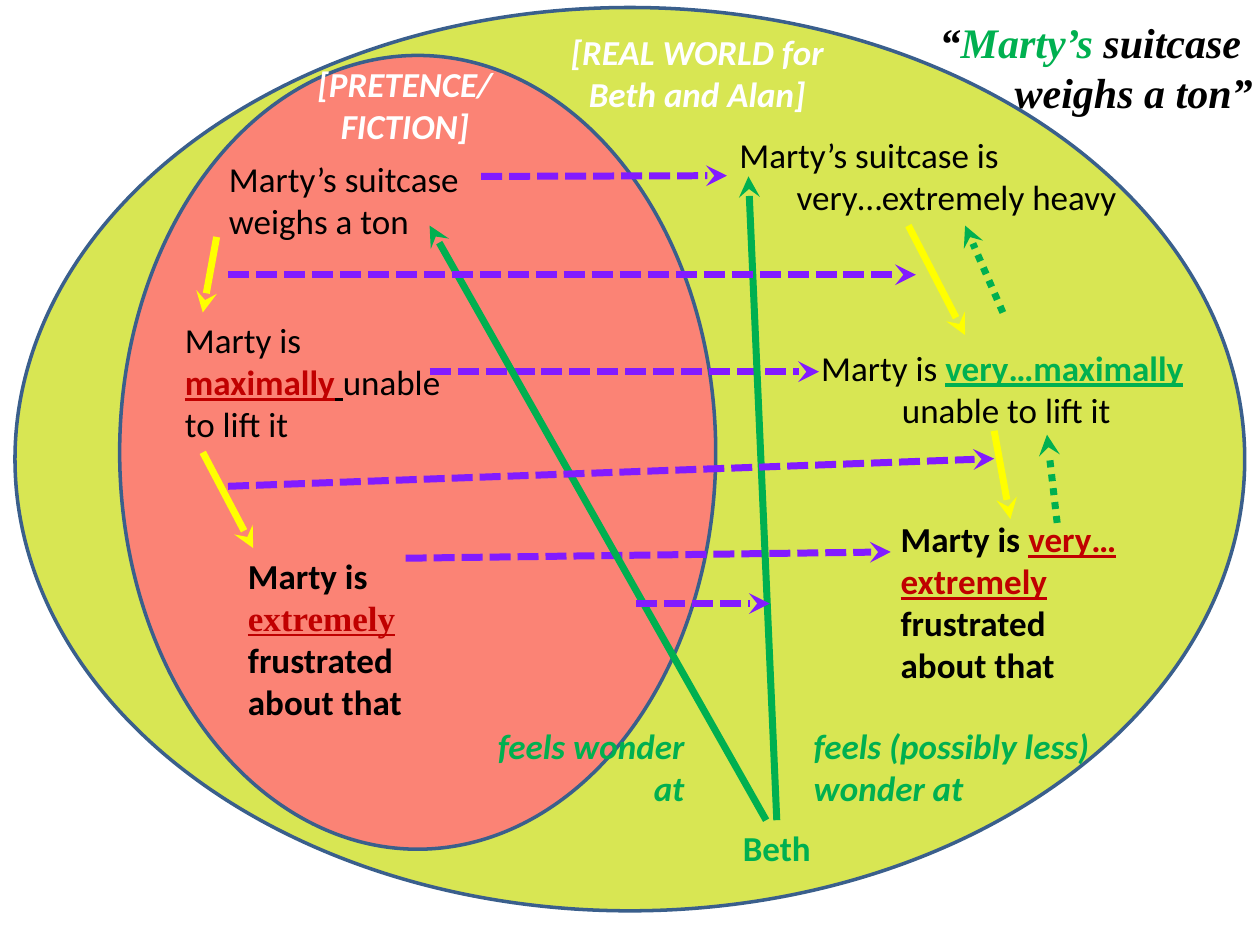
from lxml.etree import SubElement
from pptx import Presentation
from pptx.dml.color import RGBColor
from pptx.enum.dml import MSO_LINE
from pptx.enum.shapes import MSO_CONNECTOR, MSO_SHAPE
from pptx.enum.text import MSO_AUTO_SIZE, PP_ALIGN
from pptx.oxml.ns import qn
from pptx.util import Pt

HUE = {
    "lime": "CADD11", "coral": "FF7979", "edge": "3A5F8C",
    "black": "000000", "white": "FFFFFF", "red": "C00000",
    "green": "00B050", "blue": "00B0F0", "purple": "821BFF", "yellow": "FFFF00",
}
ALIGN = {"l": PP_ALIGN.LEFT, "c": PP_ALIGN.CENTER, "r": PP_ALIGN.RIGHT}
DASH = {"dash": MSO_LINE.SQUARE_DOT, "dot": MSO_LINE.ROUND_DOT}
SERIF = "Times New Roman"

deck = Presentation()
deck.slide_width, deck.slide_height = Pt(720), Pt(540)
slide = deck.slides.add_slide(deck.slide_layouts[6])


def rgb(name):
    return RGBColor.from_string(HUE[name])


def put(at, lines, align="l", **base):
    """Add a text box; lines are lists of (text, format) runs, align has a letter per line."""
    box = slide.shapes.add_textbox(*map(Pt, at))
    frame = box.text_frame
    frame.word_wrap = True
    frame.auto_size = MSO_AUTO_SIZE.SHAPE_TO_FIT_TEXT
    for i, line in enumerate(lines):
        para = frame.paragraphs[0] if i == 0 else frame.add_paragraph()
        para.alignment = ALIGN[align[i % len(align)]]
        for text, extra in line:
            look = {"size": 20, "font": "Calibri", "hue": "black"} | base | extra
            run = para.add_run()
            run.text = text
            font = run.font
            font.size, font.name = Pt(look["size"]), look["font"]
            font.color.rgb = rgb(look["hue"])
            font.bold = look.get("bold", False)
            font.italic = look.get("italic", False)
            font.underline = look.get("under", False)
    return box


# The two worlds
for at, hue, alpha in [((8.6, 4.3, 702.7, 516.2), "lime", 72),
                       ((68.4, 31.7, 340.6, 453.6), "coral", 90)]:
    world = slide.shapes.add_shape(MSO_SHAPE.OVAL, *map(Pt, at))
    world.shadow.inherit = False
    world.fill.solid()
    world.fill.fore_color.rgb = rgb(hue)
    color = world.fill._xPr.find(qn("a:solidFill"))[0]
    SubElement(color, qn("a:alpha")).set("val", str(alpha * 1000))
    world.line.color.rgb = rgb("edge")
    world.line.width = Pt(2)

# Titles
head = {"hue": "white", "bold": True, "italic": True}
put((318.2, 13.7, 160.6, 55.4), [[("[REAL WORLD for Beth and Alan]", {})]], "c", **head)
put((169.9, 32.4, 123.1, 55.4), [[("[PRETENCE/", {})], [("FICTION]", {})]], "c", **head)
put((529.9, 5.8, 193, 65.5),
    [[("“", {}), ("Marty’s ", {"hue": "green"}), ("suitcase", {})],
     [("weighs a ton”", {})]], "lr", size=24, font=SERIF, bold=True, italic=True)

# Claims within the pretence
mark = {"hue": "red", "bold": True, "under": True}
gap = {"hue": "blue", "under": True}
put((123.8, 86.4, 175, 55.4), [[("Marty’s suitcase weighs a ton", {})]])
put((98.6, 178.6, 164.2, 79.9),
    [[("Marty is ", {}), ("maximally", mark), (" ", {"under": True}),
      ("unable to lift it", {})]])
put((134.6, 313.2, 121.7, 104.4),
    [[("Marty is", {})],
     [("extremely", mark | {"font": SERIF}), (" ", gap | {"font": SERIF}),
      ("frustrated", {})],
     [("about that", {})]], bold=True)

# Claims within the real world
heavy = put((415.4, 72.7, 229.7, 55.4),
            [[("Marty’s suitcase is", {})], [("very…extremely heavy", {})]], "lr")
put((450.7, 194.4, 244.1, 55.4),
    [[("Marty is ", {}), ("very…maximally", mark | {"hue": "green"})],
     [(" unable to lift it", {})]], "c")
put((507.6, 292.3, 156.2, 104.4),
    [[("Marty is ", {}), ("very…extremely", mark), (" ", gap), ("frustrated", {})],
     [("about that", {})]], bold=True)

# Beth and her feelings
mood = {"hue": "green", "bold": True}
beth = put((363.6, 468.7, 160.6, 31.7), [[("Beth", {})]], "c", **mood)
put((211.7, 410.4, 186.5, 55.4), [[("feels wonder", {})], [(" at", {})]], "r",
    italic=True, **mood)
put((457.9, 410.4, 186.5, 55.4), [[("feels (possibly less) wonder at", {})]],
    italic=True, **mood)

# Arrows: start, end, hue, dash, box joined at start (top), box joined at end (left)
arrows = [
    ((275, 100.8), (415.4, 100.4), "purple", "dash", None, heavy),
    ((245.5, 212.4), (468, 212.4), "purple", "dash", None, None),
    ((231.8, 319), (509, 315.4), "purple", "dash", None, None),
    ((519.1, 128.9), (551.5, 191.5), "yellow", None, None, None),
    ((568.1, 246.2), (577.4, 296.6), "yellow", None, None, None),
    ((437.8, 468.7), (245.5, 128.9), "green", None, None, None),
    ((443.9, 468.7), (427.7, 100.8), "green", None, beth, None),
    ((363.6, 344.9), (439.9, 344.9), "purple", "dash", None, None),
    ((123.8, 135.4), (115.9, 178.6), "yellow", None, None, None),
    ((115.9, 258.5), (144.7, 313.2), "yellow", None, None, None),
    ((130.3, 157), (523.4, 157), "purple", "dash", None, None),
    ((130.3, 277.9), (568.1, 262.1), "purple", "dash", None, None),
    ((604.1, 298.8), (598.3, 248.4), "green", "dot", None, None),
    ((573.1, 178.6), (551.5, 128.9), "green", "dot", None, None),
]
for start, end, hue, dash, source, target in arrows:
    arrow = slide.shapes.add_connector(MSO_CONNECTOR.STRAIGHT, *map(Pt, start + end))
    if source:
        arrow.begin_connect(source, 0)
    if target:
        arrow.end_connect(target, 1)
    arrow.line.color.rgb = rgb(hue)
    arrow.line.width = Pt(4)
    if dash:
        arrow.line.dash_style = DASH[dash]
        preset = arrow.line._ln.find(qn("a:prstDash"))
        preset.set("val", {"dash": "sysDash", "dot": "sysDot"}[dash])
    SubElement(arrow.line._ln, qn("a:tailEnd")).set("type", "stealth")
    SubElement(arrow._element.spPr, qn("a:effectLst"))

deck.save("out.pptx")
